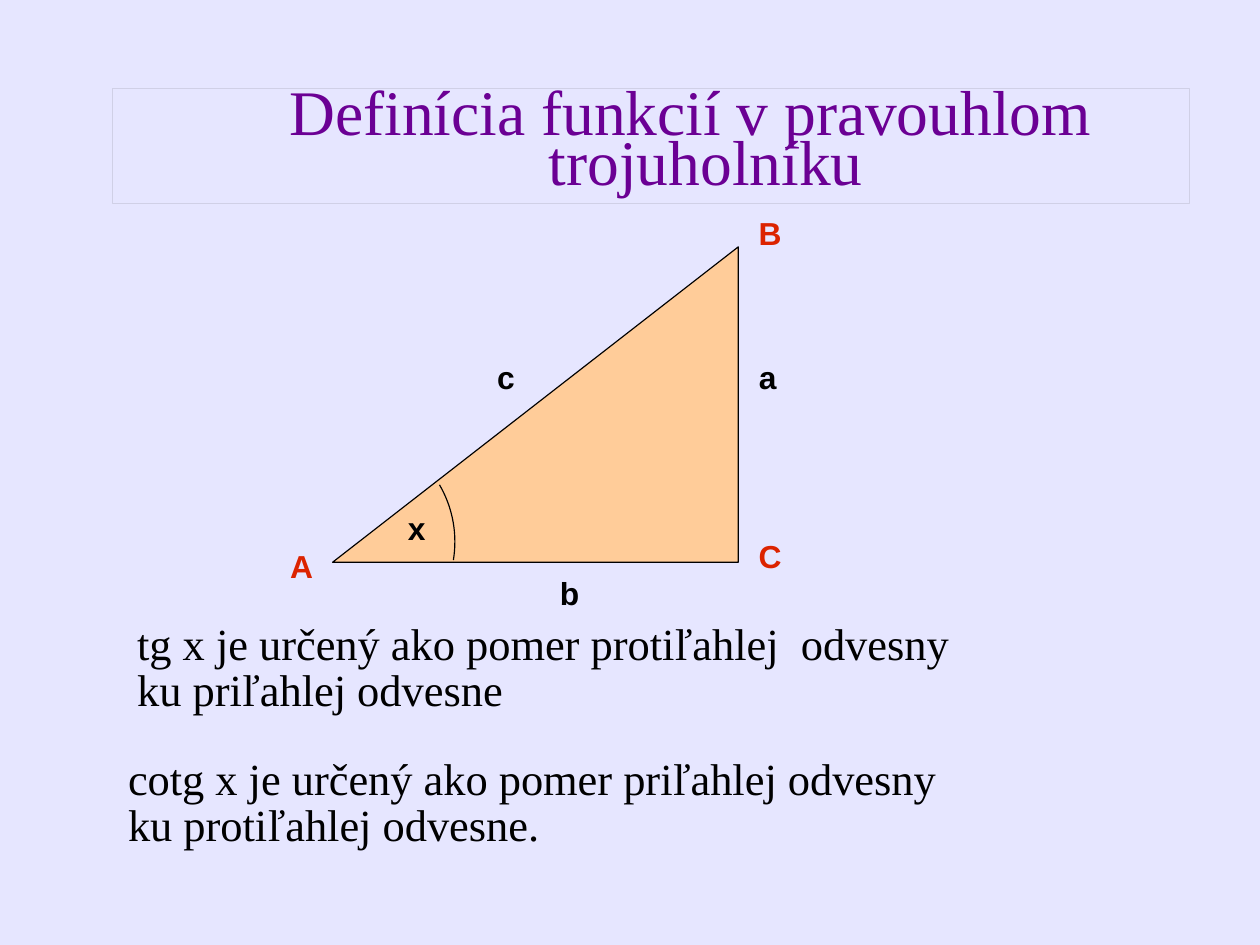
from dataclasses import dataclass

from pptx import Presentation
from pptx.dml.color import RGBColor
from pptx.enum.shapes import MSO_SHAPE
from pptx.enum.text import MSO_ANCHOR, MSO_AUTO_SIZE, PP_ALIGN
from pptx.oxml.xmlchemy import OxmlElement
from pptx.shapes.base import BaseShape
from pptx.slide import Slide
from pptx.text.text import TextFrame
from pptx.util import Cm, Inches, Pt

BACKGROUND = "E6E6FF"
PURPLE = "6B0094"
RED = "DC2300"
BLACK = "000000"
PEACH = "FFCC99"
BORDER = "D0D0E6"
SERIF = "Times New Roman"
SANS = "Arial"


@dataclass
class Label:
    text: str
    left: float
    top: float
    width: float
    color: str = BLACK
    line_spacing: float = 0.93


@dataclass
class Definition:
    placeholder: int
    left: float
    top: float
    lines: tuple[str, ...]


LABELS = [
    Label("A", 2.44, 4.76, 0.4, RED),
    Label("C", 6.54, 4.68, 0.4, RED),
    Label("B", 6.54, 1.85, 0.4, RED),
    Label("b", 4.8, 5, 0.35),
    Label("a", 6.54, 3.11, 0.35),
    Label("c", 4.25, 3.11, 0.35),
    Label("x", 3.47, 4.45, 0.35, line_spacing=0.87),
]

DEFINITIONS = [
    Definition(1, 1.1, 5.41, ("tg x je určený ako pomer protiľahlej  odvesny",
                              "ku priľahlej odvesne")),
    Definition(2, 1.02, 6.59, ("cotg x je určený ako pomer priľahlej odvesny",
                               "ku protiľahlej odvesne.")),
]


def rgb(color: str) -> RGBColor:
    return RGBColor.from_string(color)


def place(shape: BaseShape, left: float, top: float, width: float, height: float) -> None:
    shape.left, shape.top = Inches(left), Inches(top)
    shape.width, shape.height = Inches(width), Inches(height)


def write(frame: TextFrame, *lines: str, font: str, size: float, color: str,
          bold: bool = False, align: PP_ALIGN = PP_ALIGN.LEFT,
          line_spacing: float = 1.0, indents: tuple[float, ...] = ()) -> None:
    """Write one paragraph for each line, without bullets."""
    frame.auto_size = MSO_AUTO_SIZE.NONE
    for number, line in enumerate(lines):
        para = frame.paragraphs[0] if number == 0 else frame.add_paragraph()
        para.alignment = align
        para.line_spacing = line_spacing
        para.space_before = para.space_after = Pt(0)
        properties = para._p.get_or_add_pPr()
        properties.set("marL", str(Inches(indents[number] if indents else 0)))
        properties.set("indent", "0")
        properties.append(OxmlElement("a:buNone"))
        span = para.add_run()
        span.text = line
        span.font.name, span.font.size = font, Pt(size)
        span.font.bold = bold
        span.font.color.rgb = rgb(color)


def add_title(page: Slide) -> None:
    title = page.shapes.title
    place(title, 0.98, 0.77, 9.43, 1.01)
    title.fill.solid()
    title.fill.fore_color.rgb = rgb(BACKGROUND)
    title.line.color.rgb = rgb(BORDER)
    title.line.width = Pt(0.5)
    frame = title.text_frame
    frame.margin_left = frame.margin_right = 0
    frame.margin_top = frame.margin_bottom = 0
    frame.vertical_anchor = MSO_ANCHOR.MIDDLE
    write(frame, "Definícia funkcií v pravouhlom", "trojuholníku", font=SERIF, size=40,
          color=PURPLE, align=PP_ALIGN.CENTER, line_spacing=0.66, indents=(0.69, 0.96))


def add_outlined(page: Slide, kind: MSO_SHAPE, left: float, top: float,
                 width: float, height: float) -> BaseShape:
    shape = page.shapes.add_shape(kind, Inches(left), Inches(top),
                                  Inches(width), Inches(height))
    shape.shadow.inherit = False
    shape.line.color.rgb = rgb(BLACK)
    shape.line.width = Pt(0.75)
    return shape


def add_triangle(page: Slide) -> None:
    triangle = add_outlined(page, MSO_SHAPE.RIGHT_TRIANGLE, 2.91, 2.16, 3.55, 2.76)
    triangle.fill.solid()
    triangle.fill.fore_color.rgb = rgb(PEACH)
    triangle._element.spPr.xfrm.set("flipH", "1")


def add_angle_arc(page: Slide) -> None:
    center_x, center_y, radius = 2.99, 4.74, 0.99
    arc = add_outlined(page, MSO_SHAPE.ARC, center_x - radius, center_y - radius,
                       2 * radius, 2 * radius)
    arc.fill.background()
    # An angle is stored in 60000ths of a degree, an adjustment in 100000ths
    for number, degrees in enumerate((329.8, 9.3)):
        arc.adjustments[number] = degrees * 0.6


def add_label(page: Slide, label: Label) -> None:
    box = page.shapes.add_textbox(Inches(label.left), Inches(label.top),
                                  Inches(label.width), Inches(0.41))
    box.text_frame.word_wrap = False
    write(box.text_frame, label.text, font=SANS, size=20, color=label.color,
          bold=True, line_spacing=label.line_spacing)


def add_definition(page: Slide, definition: Definition) -> None:
    body = page.placeholders[definition.placeholder]
    place(body, definition.left, definition.top, 8.43, 0.95)
    body.text_frame.vertical_anchor = MSO_ANCHOR.TOP
    write(body.text_frame, *definition.lines, font=SERIF, size=28, color=BLACK,
          line_spacing=0.86)


def main() -> None:
    deck = Presentation()
    deck.slide_width, deck.slide_height = Cm(28), Cm(21)

    # Page with a title and two body placeholders
    page = deck.slides.add_slide(deck.slide_layouts.get_by_name("Two Content"))
    page.background.fill.solid()
    page.background.fill.fore_color.rgb = rgb(BACKGROUND)
    add_title(page)

    # Right triangle with its angle and labels
    add_triangle(page)
    add_angle_arc(page)
    for label in LABELS:
        add_label(page, label)

    # Definitions of the two functions
    for definition in DEFINITIONS:
        add_definition(page, definition)

    deck.save("out.pptx")


if __name__ == "__main__":
    main()
